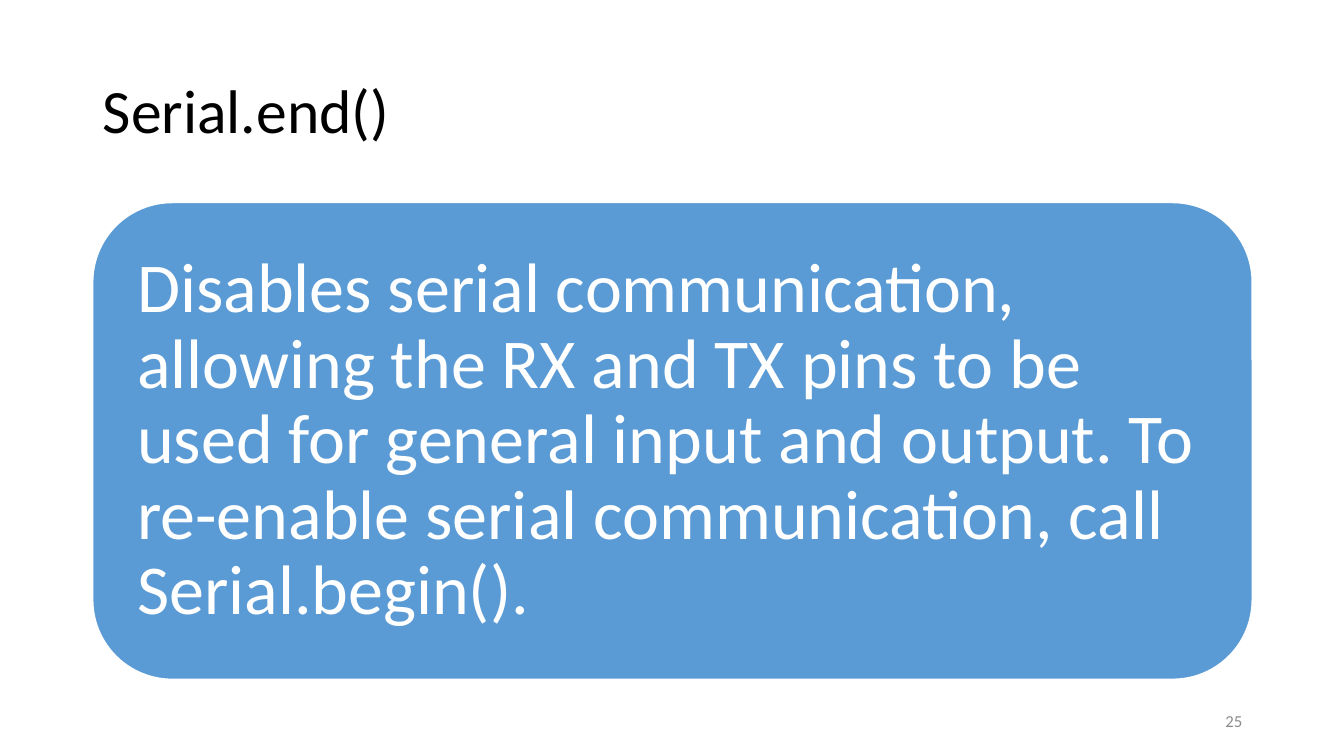
from pptx import Presentation
from pptx.dml.color import RGBColor
from pptx.enum.shapes import MSO_SHAPE
from pptx.enum.text import MSO_ANCHOR, PP_ALIGN
from pptx.util import Inches, Pt

COLORS = {"title": "000000", "panel": "5B9BD5", "white": "FFFFFF", "number": "8C8C8C"}
FONT = "Calibri"
MARGIN = 0.92
CONTENT_WIDTH = 11.5


def write(frame, text, size, color, align=PP_ALIGN.LEFT, line_spacing=1.0):
    frame.text = text
    frame.word_wrap = True
    frame.vertical_anchor = MSO_ANCHOR.MIDDLE
    paragraph = frame.paragraphs[0]
    paragraph.alignment = align
    paragraph.line_spacing = line_spacing
    font = paragraph.runs[0].font
    font.name = FONT
    font.size = Pt(size)
    font.color.rgb = RGBColor.from_string(COLORS[color])


def add_title(slide, left, top, width, height):
    title = slide.shapes.title
    title.left, title.top = Inches(left), Inches(top)
    title.width, title.height = Inches(width), Inches(height)
    write(title.text_frame, "Serial.end()", 44, "title", line_spacing=0.9)


def add_description(slide, left, top, width, height):
    panel = slide.shapes.add_shape(
        MSO_SHAPE.ROUNDED_RECTANGLE,
        Inches(left), Inches(top), Inches(width), Inches(height))
    panel.shadow.inherit = False
    panel.fill.solid()
    panel.fill.fore_color.rgb = RGBColor.from_string(COLORS["panel"])
    panel.line.color.rgb = RGBColor.from_string(COLORS["white"])
    panel.line.width = Pt(1)
    frame = panel.text_frame
    frame.margin_left = frame.margin_right = Inches(0.21)
    frame.margin_top = frame.margin_bottom = Inches(0.21)
    write(frame,
          "Disables serial communication, allowing the RX and TX pins to be used "
          "for general input and output. To re-enable serial communication, "
          "call Serial.begin().",
          50, "white", line_spacing=0.9)


def add_slide_number(slide, left, top, width, height):
    number = slide.shapes.add_textbox(
        Inches(left), Inches(top), Inches(width), Inches(height))
    write(number.text_frame, "25", 12, "number", PP_ALIGN.RIGHT)


def main():
    presentation = Presentation()
    presentation.slide_width = Inches(13.33)
    presentation.slide_height = Inches(7.5)
    slide = presentation.slides.add_slide(presentation.slide_layouts[5])
    add_title(slide, MARGIN, 0.4, CONTENT_WIDTH, 1.45)
    add_description(slide, MARGIN, 2.01, CONTENT_WIDTH, 4.73)
    add_slide_number(slide, MARGIN + CONTENT_WIDTH - 3, 6.95, 3, 0.4)
    presentation.save("out.pptx")


if __name__ == "__main__":
    main()
